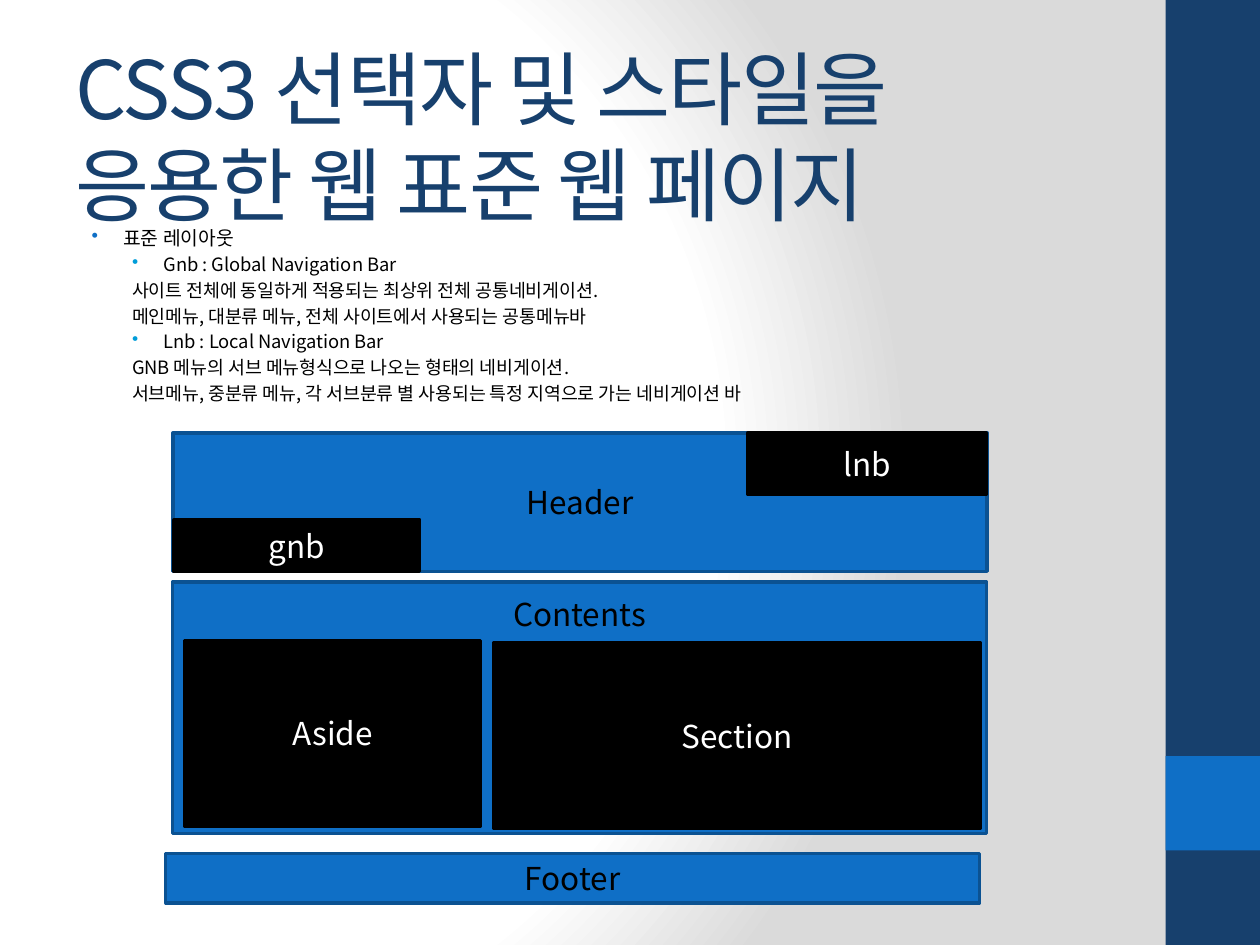
from dataclasses import dataclass

from lxml.etree import SubElement
from pptx import Presentation
from pptx.dml.color import RGBColor
from pptx.enum.shapes import MSO_SHAPE
from pptx.enum.text import MSO_ANCHOR, PP_ALIGN
from pptx.oxml import parse_xml
from pptx.oxml.ns import nsdecls, qn
from pptx.util import Inches, Pt


@dataclass(frozen=True)
class Theme:
    font: str = "Noto Sans CJK KR"
    navy: str = "17406D"
    blue: str = "0F6FC6"
    edge: str = "0B5292"
    sky: str = "009DD9"
    black: str = "000000"
    white: str = "FFFFFF"
    gray: str = "DADADA"
    title: float = 46
    topic: float = 11
    detail: float = 10.5
    label: float = 18


THEME = Theme()
COLUMNS, ROWS = 100, 75
WIDTH, HEIGHT = 10, 7.5

TOPICS = [
    (0, True, "표준 레이아웃"),
    (1, True, "Gnb : Global Navigation Bar"),
    (1, False, "사이트 전체에 동일하게 적용되는 최상위 전체 공통네비게이션."),
    (1, False, "메인메뉴, 대분류 메뉴, 전체 사이트에서 사용되는 공통메뉴바"),
    (1, True, "Lnb : Local Navigation Bar"),
    (1, False, "GNB 메뉴의 서브 메뉴형식으로 나오는 형태의 네비게이션."),
    (1, False, "서브메뉴, 중분류 메뉴, 각 서브분류 별 사용되는 특정 지역으로 가는 네비게이션 바"),
]

REGIONS = [
    ("Header", (13.75, 34.35, 64.6, 11), MSO_ANCHOR.MIDDLE),
    ("Contents", (13.7, 46.2, 64.6, 19.95), MSO_ANCHOR.TOP),
    ("Footer", (13.15, 67.75, 64.6, 3.9), MSO_ANCHOR.MIDDLE),
]

PARTS = [
    ("Aside", (14.65, 50.85, 23.5, 14.7)),
    ("Section", (39.2, 51, 38.6, 14.75)),
    ("lnb", (59.35, 34.35, 18.9, 4.9)),
    ("gnb", (13.8, 41.25, 19.5, 4.1)),
]


def place(column, row, columns, rows):
    cell_width, cell_height = WIDTH / COLUMNS, HEIGHT / ROWS
    return (Inches(column * cell_width), Inches(row * cell_height),
            Inches(columns * cell_width), Inches(rows * cell_height))


def color(value):
    return RGBColor.from_string(value)


def add_span(para, text, size, ink, spacing=0):
    span = para.add_run()
    span.text = text
    span.font.size = Pt(size)
    span.font.color.rgb = color(ink)
    span.font.name = THEME.font
    properties = span._r.get_or_add_rPr()
    properties.set("kern", "0")
    if spacing:
        properties.set("spc", str(spacing * 100))
    SubElement(properties, qn("a:ea"), typeface=THEME.font)


def add_bullet(para, ink):
    properties = para._p.get_or_add_pPr()
    SubElement(SubElement(properties, qn("a:buClr")), qn("a:srgbClr"), val=ink)
    SubElement(properties, qn("a:buChar"), char="•")


def set_indent(para, margin, first_line):
    properties = para._p.get_or_add_pPr()
    properties.set("marL", str(Inches(margin)))
    properties.set("indent", str(Inches(first_line)))


def paint_background(page):
    fill = page.background.fill
    fill.solid()
    stops = [(0, THEME.white), (75, THEME.white), (100, THEME.gray)]
    stop_list = "".join(
        f'<a:gs pos="{share * 1000}"><a:srgbClr val="{value}"/></a:gs>'
        for share, value in stops)
    gradient = parse_xml(
        f'<a:gradFill {nsdecls("a")} rotWithShape="1"><a:gsLst>{stop_list}</a:gsLst>'
        '<a:path path="circle"><a:fillToRect l="20000" t="50000" r="100000" b="50000"/>'
        '</a:path></a:gradFill>')
    solid = next(page.element.iter(qn("a:solidFill")))
    solid.getparent().replace(solid, gradient)


def add_block(page, area, fill, edge=None):
    block = page.shapes.add_shape(MSO_SHAPE.RECTANGLE, *place(*area))
    block.shadow.inherit = False
    block.fill.solid()
    block.fill.fore_color.rgb = color(fill)
    if edge:
        block.line.color.rgb = color(edge)
        block.line.width = Pt(2)
    else:
        block.line.fill.background()
    return block


def add_labeled_block(page, label, area, fill, edge, ink, anchor=MSO_ANCHOR.MIDDLE):
    frame = add_block(page, area, fill, edge).text_frame
    frame.word_wrap = True
    frame.vertical_anchor = anchor
    if anchor == MSO_ANCHOR.TOP:
        frame.margin_top = Inches(0.1)
    para = frame.paragraphs[0]
    para.alignment = PP_ALIGN.CENTER
    add_span(para, label, THEME.label, ink)


def add_text_frame(page, area):
    frame = page.shapes.add_textbox(*place(*area)).text_frame
    frame.word_wrap = True
    return frame


def add_title(page, text):
    frame = add_text_frame(page, (5, 4.5, 83.3, 12.5))
    frame.vertical_anchor = MSO_ANCHOR.MIDDLE
    add_span(frame.paragraphs[0], text, THEME.title, THEME.navy, spacing=-1)


def add_topics(page):
    frame = add_text_frame(page, (5, 17.5, 88.3, 52.5))
    for index, (level, bulleted, text) in enumerate(TOPICS):
        para = frame.add_paragraph() if index else frame.paragraphs[0]
        para.level = level
        if bulleted:
            add_bullet(para, THEME.sky if level else THEME.blue)
            set_indent(para, 0.7 if level else 0.38, -0.25)
        else:
            set_indent(para, 0.45, 0)
        if index:
            para.space_before = Pt(2.1)
        add_span(para, text, THEME.detail if level else THEME.topic, THEME.black)


def main():
    deck = Presentation()
    deck.slide_width, deck.slide_height = Inches(WIDTH), Inches(HEIGHT)
    page = deck.slides.add_slide(deck.slide_layouts[6])
    paint_background(page)
    add_block(page, (92.5, 0, 7.5, ROWS), THEME.navy)
    add_block(page, (92.5, 60, 7.5, 7.5), THEME.blue)
    add_title(page, "CSS3 선택자 및 스타일을 응용한 웹 표준 웹 페이지")
    add_topics(page)
    for label, area, anchor in REGIONS:
        add_labeled_block(page, label, area, THEME.blue, THEME.edge, THEME.black, anchor)
    for label, area in PARTS:
        add_labeled_block(page, label, area, THEME.black, THEME.black, THEME.white)
    deck.save("out.pptx")


if __name__ == "__main__":
    main()
